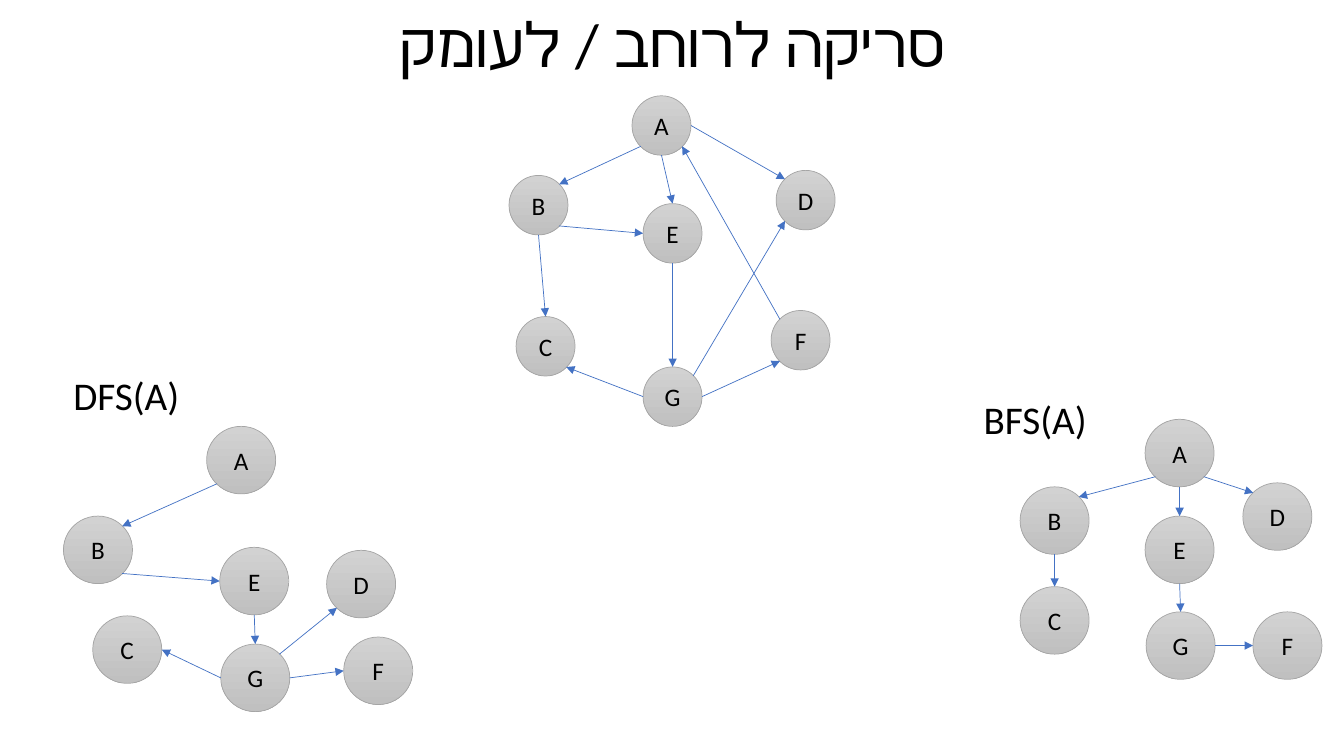
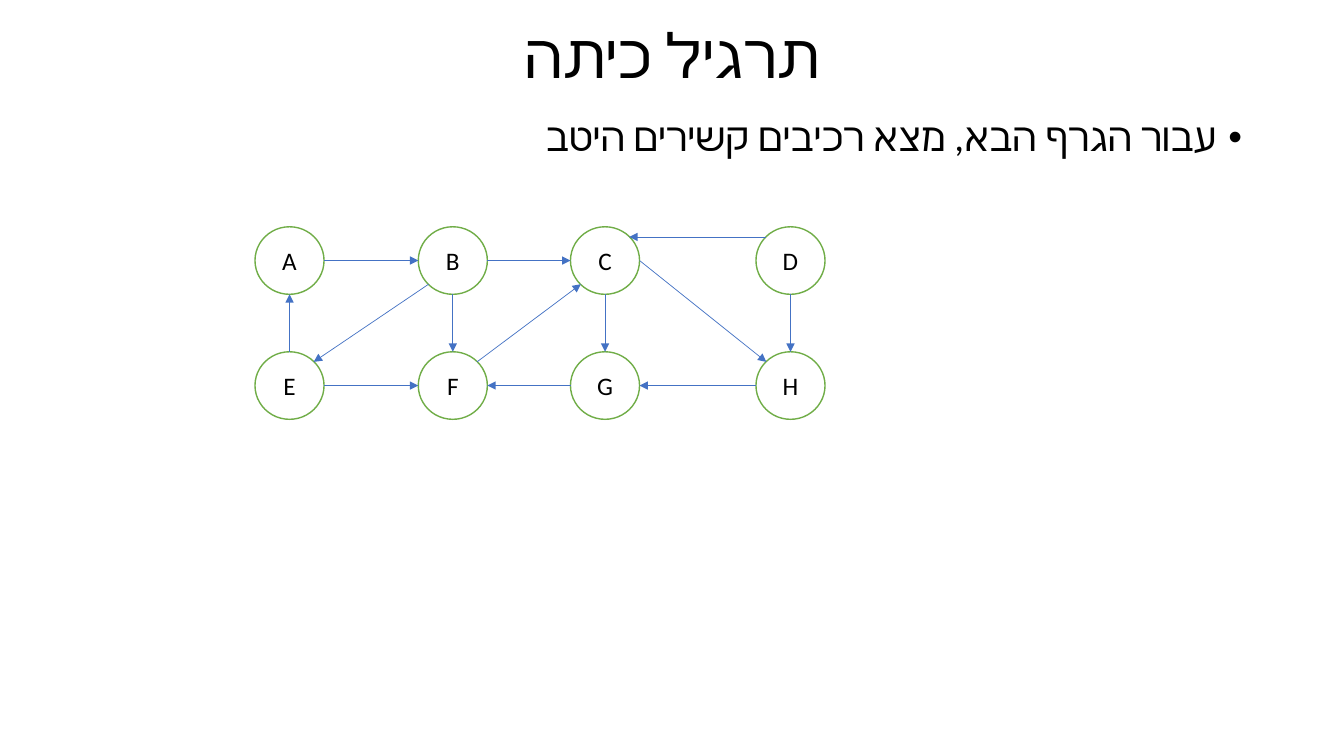
from itertools import product

from lxml import etree
from pptx import Presentation, util as u
from pptx.dml.color import RGBColor
from pptx.enum import shapes, text
from pptx.oxml.ns import qn

# Grid: ten columns and ten rows to the inch
CELL = u.Inches(0.1)
COLUMNS, ROWS = 133.33, 75

BLACK = RGBColor(0x00, 0x00, 0x00)
WHITE = RGBColor(0xFF, 0xFF, 0xFF)
BLUE = RGBColor(0x44, 0x72, 0xC4)
GREEN = RGBColor(0x70, 0xAD, 0x47)
GRAY = RGBColor(0xA5, 0xA5, 0xA5)
LIGHT_GRAY = RGBColor(0xD2, 0xD2, 0xD2)
MID_GRAY = RGBColor(0xC0, 0xC0, 0xC0)

FONT = "Calibri"
SMALL_NODE = (5.85, 5.9)
LARGE_NODE = (6.85, 6.7)

# Connection sites of an ellipse, in their preset order; 0.15 and 0.85 lie on the diagonals
NEAR, FAR = 0.15, 0.85
SITES = {
    "n": (0.5, 0), "nw": (NEAR, NEAR), "w": (0, 0.5), "sw": (NEAR, FAR),
    "s": (0.5, 1), "se": (FAR, FAR), "e": (1, 0.5), "ne": (FAR, NEAR),
}


def grid(*lengths):
    return [u.Emu(round(length * CELL)) for length in lengths]


class Deck:
    """Shared style, and the slide being drawn."""

    def __init__(self):
        self.presentation = Presentation()
        self.presentation.slide_width, self.presentation.slide_height = grid(COLUMNS, ROWS)
        self.slide = None

    def new_slide(self, title, title_rows):
        self.slide = self.presentation.slides.add_slide(self.presentation.slide_layouts[6])
        paragraph = self.text(title, (9.2, 0, 115, title_rows), 44,
                              text.PP_ALIGN.CENTER, text.MSO_ANCHOR.MIDDLE)
        paragraph.line_spacing = 0.9
        self.right_to_left(paragraph)

    def set_words(self, paragraph, words, size, align):
        paragraph.text = words
        paragraph.alignment = align
        font = paragraph.font
        font.name, font.size, font.color.rgb = FONT, u.Pt(size), BLACK
        properties = paragraph._p.pPr.find(qn("a:defRPr"))
        etree.SubElement(properties, qn("a:cs"), typeface=FONT)

    def right_to_left(self, paragraph):
        paragraph._p.get_or_add_pPr().set("rtl", "1")

    def text(self, words, box, size, align=text.PP_ALIGN.LEFT,
             anchor=text.MSO_ANCHOR.TOP, wrap=True):
        frame = self.slide.shapes.add_textbox(*grid(*box)).text_frame
        frame.word_wrap, frame.vertical_anchor = wrap, anchor
        paragraph = frame.paragraphs[0]
        self.set_words(paragraph, words, size, align)
        return paragraph

    def label(self, words, box):
        self.text(words, box, 28, wrap=False)

    def bullet(self, words, box):
        paragraph = self.text(words, box, 28, text.PP_ALIGN.RIGHT)
        paragraph.line_spacing, paragraph.space_before = 0.9, u.Pt(10)
        self.right_to_left(paragraph)
        properties = paragraph._p.pPr
        indent = u.Inches(0.25)
        properties.set("marL", str(indent))
        properties.set("indent", str(-indent))
        default_font = properties.find(qn("a:defRPr"))
        for tag, name, value in (("a:buFont", "typeface", "Arial"), ("a:buChar", "char", "•")):
            mark = etree.Element(qn(tag))
            mark.set(name, value)
            default_font.addprevious(mark)

    def node(self, group, name, place, size, shaded):
        shape = group.shapes.add_shape(shapes.MSO_SHAPE.OVAL, *grid(*place, *size))
        shape.shadow.inherit = False
        if shaded:
            shape.fill.gradient()
            shape.fill.gradient_angle = 270
            for stop, color in zip(shape.fill.gradient_stops, (LIGHT_GRAY, MID_GRAY)):
                stop.color.rgb = color
        else:
            shape.fill.solid()
            shape.fill.fore_color.rgb = WHITE
        shape.line.color.rgb = GRAY if shaded else GREEN
        shape.line.width = u.Pt(0.5 if shaded else 1)
        shape.text_frame.vertical_anchor = text.MSO_ANCHOR.MIDDLE
        self.set_words(shape.text_frame.paragraphs[0], name, 18, text.PP_ALIGN.CENTER)
        return shape

    def arrow(self, group, start, start_site, end, end_site):
        ends = ((start, start_site), (end, end_site))
        points = []
        for shape, site in ends:
            across, down = SITES[site]
            points += [round(shape.left + across * shape.width),
                       round(shape.top + down * shape.height)]
        connector = group.shapes.add_connector(shapes.MSO_CONNECTOR.STRAIGHT, *points)
        connector.line.color.rgb, connector.line.width = BLUE, u.Pt(0.5)
        properties = connector._element.spPr
        etree.SubElement(properties.find(qn("a:ln")), qn("a:tailEnd"), type="triangle")
        etree.SubElement(properties, qn("a:effectLst"))
        # Glue both ends to their nodes
        joints = connector._element.find(".//" + qn("p:cNvCxnSpPr"))
        for tag, (shape, site) in zip(("a:stCxn", "a:endCxn"), ends):
            etree.SubElement(joints, qn(tag), id=str(shape.shape_id),
                             idx=str(list(SITES).index(site)))

    def graph(self, places, edges, size=LARGE_NODE, shaded=True):
        """Each edge reads: node, site, node, site."""
        group = self.slide.shapes.add_group_shape()
        nodes = {name: self.node(group, name, place, size, shaded)
                 for name, place in places.items()}
        for edge in edges:
            start, start_site, end, end_site = edge.split()
            self.arrow(group, nodes[start], start_site, nodes[end], end_site)


def search_slide(deck):
    deck.new_slide("סריקה לרוחב / לעומק", 9.5)
    # Whole graph
    deck.graph(
        {"A": (62.7, 9.5), "B": (50.5, 17.4), "C": (51.2, 31.4), "D": (77, 16.9),
         "E": (63.8, 20.2), "F": (76.5, 30.8), "G": (63.8, 36.4)},
        ("A sw B ne", "B se E w", "A s E n", "B s C n", "A e D nw",
         "E s G n", "G w C se", "G ne D sw", "F nw A se", "G e F sw"),
        SMALL_NODE)
    # Breadth-first tree
    deck.label("BFS(A)", (96.6, 38.7, 12.4, 5.7))
    deck.graph(
        {"A": (113.6, 41.6), "B": (101.2, 48.3), "C": (101.2, 58.2), "D": (123.3, 47.9),
         "E": (113.6, 51.2), "F": (124.3, 60.7), "G": (113.7, 60.7)},
        ("A sw B ne", "A s E n", "A se D nw", "B s C n", "E s G n", "G e F w"))
    # Depth-first tree
    deck.label("DFS(A)", (6.3, 36.3, 12.7, 5.7))
    deck.graph(
        {"A": (20.5, 42.3), "B": (6.3, 51.2), "C": (9.2, 61.1), "D": (32.4, 54.6),
         "E": (21.8, 54.3), "F": (34.1, 63.2), "G": (21.9, 63.9)},
        ("A sw B ne", "B se E w", "E s G n", "G w C e", "G ne D sw", "G e F w"))


def exercise_slide(deck):
    deck.new_slide("תרגיל כיתה", 11.6)
    deck.bullet("עבור הגרף הבא, מצא רכיבים קשירים היטב", (9.2, 11.2, 115, 56.3))
    # Two rows of four nodes
    cells = product((22.5, 34.9), (25.3, 41.5, 56.6, 75))
    deck.graph(
        {name: (column, row) for name, (row, column) in zip("ABCDEFGH", cells)},
        ("A e B w", "B sw E ne", "B s F n", "B e C w", "C e H nw", "C s G n", "D nw C ne",
         "D s H n", "E n A s", "E e F w", "G w F e", "H w G e", "F ne C sw"),
        shaded=False)


def main():
    deck = Deck()
    search_slide(deck)
    exercise_slide(deck)
    deck.presentation.save("out.pptx")


if __name__ == "__main__":
    main()
